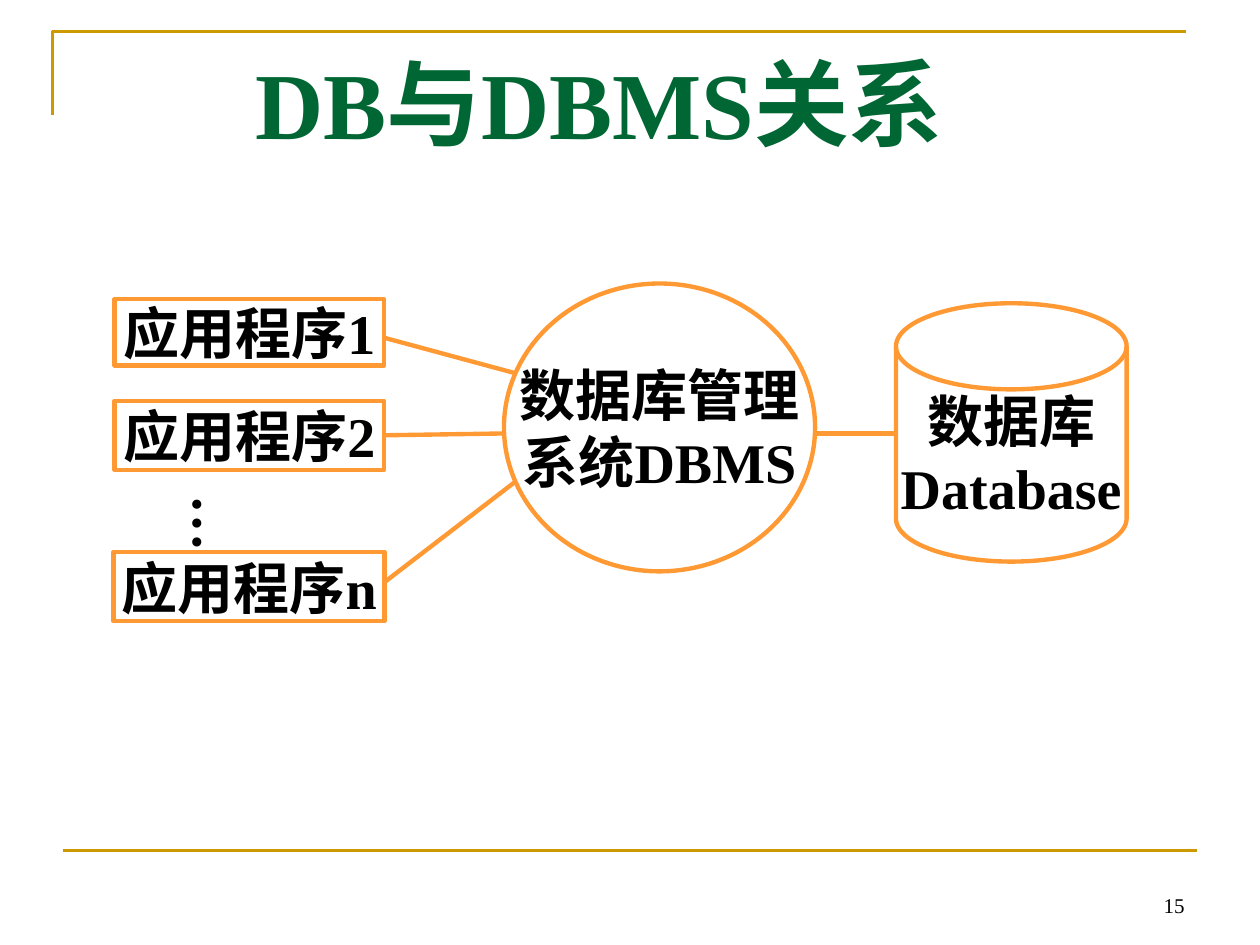
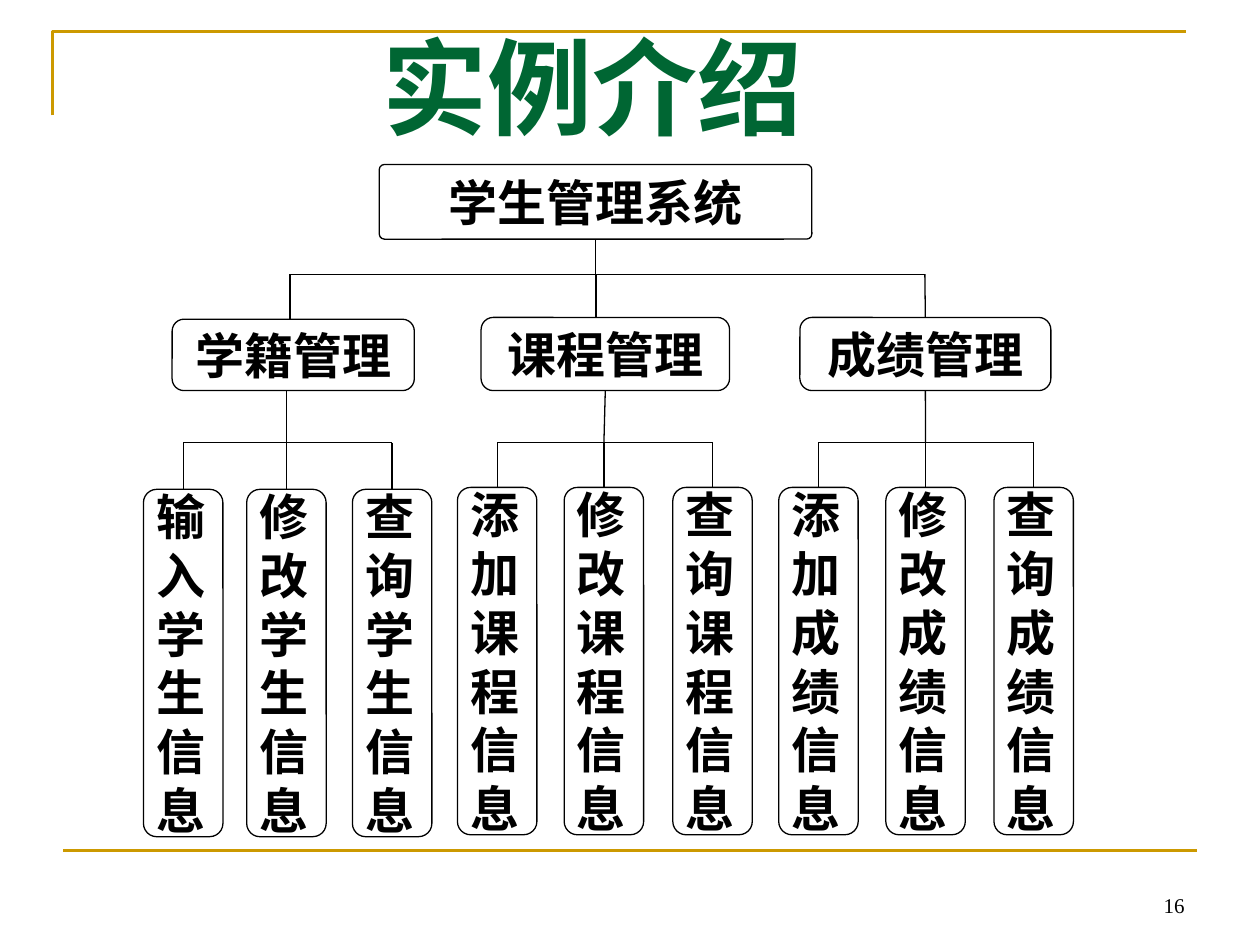
from lxml import etree
from pptx import Presentation
from pptx.dml.color import RGBColor
from pptx.enum.shapes import MSO_CONNECTOR, MSO_SHAPE
from pptx.enum.text import MSO_ANCHOR, PP_ALIGN
from pptx.oxml.ns import qn
from pptx.util import Pt

STRAIGHT = MSO_CONNECTOR.STRAIGHT
RECTANGLE, ROUNDED = MSO_SHAPE.RECTANGLE, MSO_SHAPE.ROUNDED_RECTANGLE
ELLIPSE, DISK = MSO_SHAPE.OVAL, MSO_SHAPE.FLOWCHART_MAGNETIC_DISK
TOP, MIDDLE, BOTTOM = MSO_ANCHOR.TOP, MSO_ANCHOR.MIDDLE, MSO_ANCHOR.BOTTOM
LEFT, CENTER, RIGHT = PP_ALIGN.LEFT, PP_ALIGN.CENTER, PP_ALIGN.RIGHT

FONT = "Times New Roman"
GOLD = RGBColor(0xCC, 0x99, 0x00)
GREEN = RGBColor(0x00, 0x66, 0x33)
ORANGE = RGBColor(0xFF, 0x99, 0x33)
BLACK = RGBColor(0, 0, 0)
WHITE = RGBColor(0xFF, 0xFF, 0xFF)

RELATION = {"title": "DB与DBMS关系", "number": "15", "size": 54,
            "frame": (139, 22.3, 521, 72), "align": LEFT}
EXAMPLE = {"title": "实例介绍", "number": "16", "size": 60,
           "frame": (198, 9.4, 281, 79), "align": CENTER}

APPLICATIONS = [
    ("应用程序1", (65.5, 171, 154, 37.8), 193, (293.8, 213.1)),
    ("应用程序2", (65.5, 229, 154, 39.5), 248.4, (288, 247.7)),
    ("应用程序n", (64.8, 315.4, 155, 39.6), 332.6, (293.8, 275.8)),
]
DBMS = (["数据库管理", "系统DBMS"], (288, 162, 177.8, 164.5))
DATABASE = (["数据库", "Database"], (512, 173.3, 131.8, 147.6))

ROOT = ("学生管理系统", (216.7, 94, 247.2, 42.7))
ROOT_BAR = 156.7
MODULES = [
    {"name": "学籍管理", "frame": (98.4, 182.4, 138.4, 40.8), "drop": 165.7,
     "leaf_top": 279.6, "leaves": [("输入学生信息", 82), ("修改学生信息", 141), ("查询学生信息", 201.4)]},
    {"name": "课程管理", "frame": (274.9, 181.4, 142, 41.8), "drop": 340.6,
     "leaf_top": 278.5, "leaves": [("添加课程信息", 261.4), ("修改课程信息", 322.4), ("查询课程信息", 384.5)]},
    {"name": "成绩管理", "frame": (457.1, 181.4, 143.4, 41.8), "drop": 528.5,
     "leaf_top": 278.5, "leaves": [("添加成绩信息", 445), ("修改成绩信息", 506.2), ("查询成绩信息", 568)]},
]
LEAF_BAR, LEAF_WIDTH, LEAF_HEIGHT = 253, 45.4, 198.5


def points(values):
    return [Pt(value) for value in values]


def write(box, lines, size, color=BLACK, bold=True, align=CENTER, anchor=MIDDLE, wrap=True):
    frame = box.text_frame
    frame.word_wrap = wrap
    frame.vertical_anchor = anchor
    for index, line in enumerate(lines):
        para = frame.add_paragraph() if index else frame.paragraphs[0]
        para.alignment = align
        span = para.add_run()
        span.text = line
        span.font.name, span.font.size, span.font.bold = FONT, Pt(size), bold
        span.font.color.rgb = color


def add_text(page, frame, lines, size, **style):
    box = page.shapes.add_textbox(*points(frame))
    write(box, lines, size, **style)
    return box


def add_node(page, kind, frame, lines, size, color, width, fill=None, **style):
    box = page.shapes.add_shape(kind, *points(frame))
    box.shadow.inherit = False
    if fill is None:
        box.fill.background()
    else:
        box.fill.solid()
        box.fill.fore_color.rgb = fill
    box.line.color.rgb, box.line.width = color, Pt(width)
    write(box, lines, size, **style)
    return box


def touching_side(box, point):
    x, y = points(point)
    middle, centre = box.left + box.width / 2, box.top + box.height / 2
    sides = [(middle, box.top), (box.left, centre),
             (middle, box.top + box.height), (box.left + box.width, centre)]
    for side, (side_x, side_y) in enumerate(sides):
        if abs(side_x - x) < Pt(1) and abs(side_y - y) < Pt(1):
            return side
    return None


def link(page, start, end, color, width, source=None, target=None):
    line = page.shapes.add_connector(STRAIGHT, *points(start + end))
    line.line.color.rgb, line.line.width = color, Pt(width)
    etree.SubElement(line.element.spPr, qn("a:effectLst"))
    for box, point, connect in ((source, start, line.begin_connect), (target, end, line.end_connect)):
        side = touching_side(box, point) if box is not None else None
        if side is not None:
            connect(box, side)


def add_page(deck, content):
    page = deck.slides.add_slide(deck.slide_layouts[6])
    builder = page.shapes.build_freeform(Pt(30), Pt(66))
    builder.add_line_segments([points((30, 18)), points((678, 18))], close=False)
    corner = builder.convert_to_shape()
    corner.shadow.inherit = False
    corner.fill.background()
    corner.line.color.rgb, corner.line.width = GOLD, Pt(1.5)
    link(page, (36, 486), (684, 486), GOLD, 1.5)
    add_text(page, (516, 492, 168, 36), [content["number"]], 12,
             bold=False, align=RIGHT, anchor=BOTTOM)
    add_text(page, content["frame"], [content["title"]], content["size"],
             color=GREEN, align=content["align"], anchor=TOP)
    return page


def draw_relation(page):
    outline = {"color": ORANGE, "width": 2.5}

    def node(kind, frame, lines):
        return add_node(page, kind, frame, lines, 32, ORANGE, 2.5, wrap=False)

    node(ELLIPSE, DBMS[1], DBMS[0])
    node(DISK, DATABASE[1], DATABASE[0])
    link(page, (465.8, 247.7), (512, 247.7), **outline)
    for name, frame, exit_y, circle_point in APPLICATIONS:
        box = node(RECTANGLE, frame, [name])
        link(page, (frame[0] + frame[2], exit_y), circle_point, source=box, **outline)
    dots = add_text(page, (93.6, 275.8, 52.6, 45.4), ["…"], 32, align=LEFT, anchor=TOP)
    frame = dots.text_frame
    frame.margin_left = frame.margin_right = Pt(3.6)
    frame.margin_top = frame.margin_bottom = Pt(7.2)
    dots.element.find(".//" + qn("a:bodyPr")).set("vert", "eaVert")


def draw_example(page):
    def node(frame, name, **style):
        return add_node(page, ROUNDED, frame, [name], 28, BLACK, 0.75, fill=WHITE, **style)

    def rule(start, end, **ends):
        link(page, start, end, BLACK, 0.75, **ends)

    root = node(ROOT[1], ROOT[0])
    root.adjustments[0] = 0.07
    left, top, width, height = ROOT[1]
    rule((left + width / 2, top + height), (left + width / 2, ROOT_BAR), source=root)
    rule((MODULES[0]["drop"], ROOT_BAR), (MODULES[-1]["drop"], ROOT_BAR))
    for module in MODULES:
        left, top, width, height = module["frame"]
        box = node(module["frame"], module["name"])
        rule((module["drop"], ROOT_BAR), (module["drop"], top), target=box)
        centres = [leaf_left + LEAF_WIDTH / 2 for _, leaf_left in module["leaves"]]
        rule((centres[1], top + height), (centres[1], LEAF_BAR), source=box)
        rule((centres[0], LEAF_BAR), (centres[-1], LEAF_BAR))
        leaf_top = module["leaf_top"]
        for (name, leaf_left), centre in zip(module["leaves"], centres):
            leaf = node((leaf_left, leaf_top, LEAF_WIDTH, LEAF_HEIGHT), name, align=LEFT)
            leaf.text_frame.margin_left = leaf.text_frame.margin_right = Pt(5)
            rule((centre, LEAF_BAR), (centre, leaf_top), target=leaf)


def main():
    deck = Presentation()
    deck.slide_width, deck.slide_height = Pt(720), Pt(540)
    draw_relation(add_page(deck, RELATION))
    draw_example(add_page(deck, EXAMPLE))
    deck.save("out.pptx")


if __name__ == "__main__":
    main()
